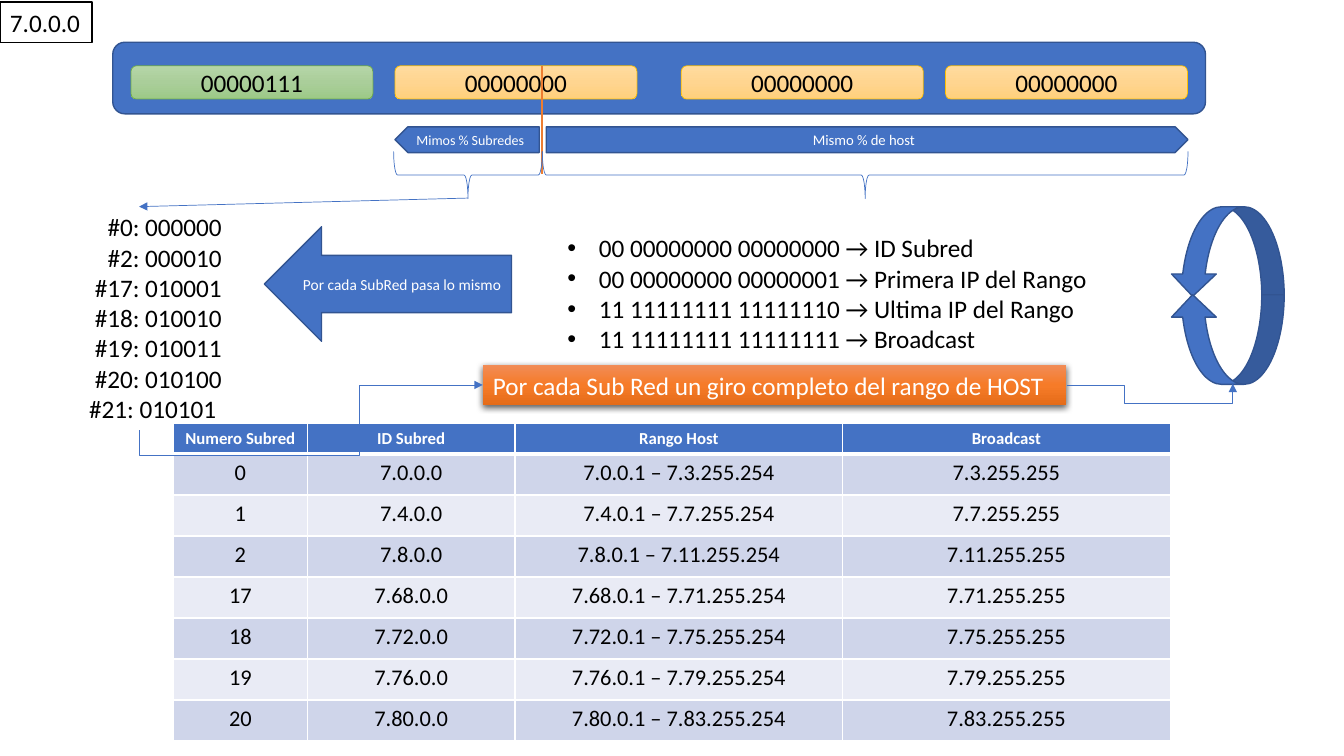
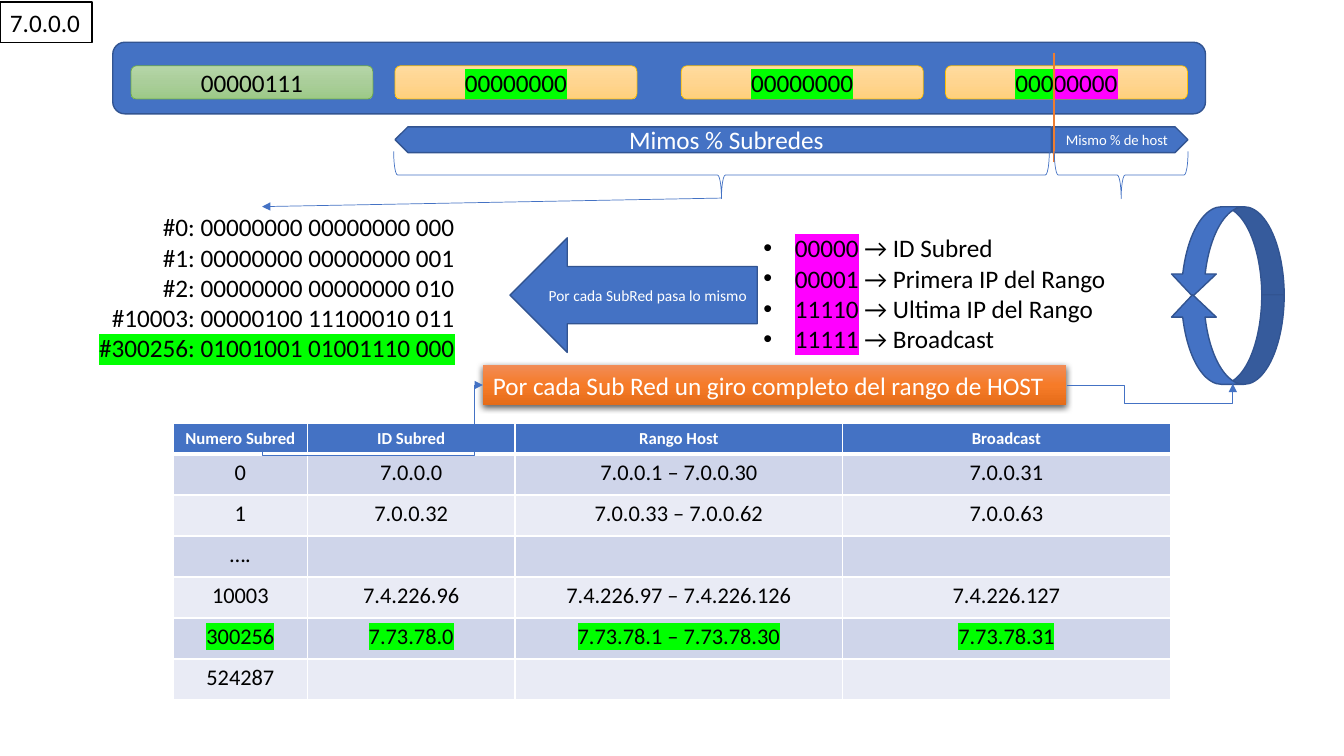
from dataclasses import dataclass
from typing import NamedTuple

from lxml.etree import SubElement
from pptx import Presentation
from pptx.dml.color import RGBColor
from pptx.enum.shapes import MSO_CONNECTOR as LINK
from pptx.enum.shapes import MSO_SHAPE as SHAPE
from pptx.enum.text import MSO_ANCHOR as ANCHOR
from pptx.enum.text import PP_ALIGN as ALIGN
from pptx.oxml.ns import qn
from pptx.oxml.xmlchemy import OxmlElement
from pptx.util import Pt

# Shared look
FONT = "Calibri"
BLUE, EDGE, CUT = "4472C4", "325491", "ED7D31"
WHITE, BLACK = "FFFFFF", "000000"
LIME, PINK = "00FF00", "FF00FF"
BANDS = ("CFD5EA", "E9EBF5")
GREENS = ("B5D5A7", "AACE9A", "9CC987")
GOLDS = ("FFDB9E", "FFD590", "FFD07C")
FLAMES = ("F18C57", "F67B28", "E56C19")

# Shared grid
OCTETS = (93.6, 282.2, 486.7, 675.4)
LEFT, RIGHT = 282.2, 848.6
COLS = (95.8, 148.3, 234, 234)
HEADS = ("Numero Subred", "ID Subred", "Rango Host", "Broadcast")


class Piece(NamedTuple):
    text: str
    mark: str = ""


class Box(NamedTuple):
    x: float
    y: float
    w: float
    h: float


class Point(NamedTuple):
    x: float
    y: float


@dataclass
class Page:
    octets: list
    cut: tuple  # x, top, bottom
    plates: tuple  # end of subnets, start of hosts
    fork: float  # right end of the subnet brace
    size: float  # subnet label
    list_box: Box
    nets: list
    host_box: Box
    hosts: list
    arrow: Point
    turn: float  # where the elbow rises, as a share of its width
    rows: list


def rgb(code: str) -> RGBColor:
    return RGBColor.from_string(code)


def lit(text: str, mark: str = LIME) -> list:
    return [Piece(text, mark)]


def write(frame, paras: list, *, size: float = 18, color: str = BLACK,
          align=ALIGN.CENTER, anchor=ANCHOR.MIDDLE, bold: bool = False,
          wrap: bool = True, bullet: bool = False) -> None:
    frame.word_wrap = wrap
    frame.vertical_anchor = anchor
    for i, item in enumerate(paras):
        para = frame.add_paragraph() if i else frame.paragraphs[0]
        para.alignment = align
        if bullet:
            props = para._p.get_or_add_pPr()
            props.set("marL", str(Pt(22.5)))
            props.set("indent", str(-Pt(22.5)))
            SubElement(props, qn("a:buFont")).set("typeface", "Arial")
            SubElement(props, qn("a:buChar")).set("char", "•")
        for piece in [Piece(item)] if isinstance(item, str) else item:
            if not piece.text:
                continue
            run = para.add_run()
            run.text = piece.text
            run.font.size, run.font.bold = Pt(size), bold
            run.font.color.rgb = rgb(color)
            run.font.name = FONT
            if piece.mark:
                glow = OxmlElement("a:highlight")
                SubElement(glow, qn("a:srgbClr")).set("val", piece.mark)
                run._r.rPr.find(qn("a:solidFill")).addnext(glow)


def shade(shape, tones: tuple) -> None:
    """Fill from top to bottom with evenly spaced tones."""
    grad = OxmlElement("a:gradFill")
    stops = SubElement(grad, qn("a:gsLst"))
    for i, tone in enumerate(tones):
        stop = SubElement(stops, qn("a:gs"))
        stop.set("pos", str(100000 * i // (len(tones) - 1)))
        SubElement(stop, qn("a:srgbClr")).set("val", tone)
    SubElement(grad, qn("a:lin")).set("ang", "5400000")
    shape._element.spPr.find(qn("a:prstGeom")).addnext(grad)


def draw(shapes, kind, box: Box, *, fill=BLUE, edge: str = EDGE,
         width: float = 1, turn: float = 0, flip: bool = False):
    shape = shapes.add_shape(kind, *map(Pt, box))
    shape.shadow.inherit = False
    shape.rotation = turn
    if flip:
        shape._element.spPr.xfrm.set("flipH", "1")
    if isinstance(fill, tuple):
        shade(shape, fill)
    elif fill:
        shape.fill.solid()
        shape.fill.fore_color.rgb = rgb(fill)
    else:
        shape.fill.background()
    if edge:
        shape.line.color.rgb = rgb(edge)
        shape.line.width = Pt(width)
    else:
        shape.line.fill.background()
    return shape


def label(slide, box: Box, paras: list, **style):
    shape = slide.shapes.add_textbox(*map(Pt, box))
    write(shape.text_frame, paras, anchor=ANCHOR.TOP, **style)
    return shape


def link(slide, start: Point, end: Point, *, kind=LINK.STRAIGHT,
         color: str = BLUE, width: float = 0.5, head: bool = True):
    line = slide.shapes.add_connector(kind, *map(Pt, (*start, *end)))
    line.line.color.rgb = rgb(color)
    line.line.width = Pt(width)
    if head:
        SubElement(line.line._get_or_add_ln(), qn("a:tailEnd")).set("type", "triangle")
    SubElement(line._element.spPr, qn("a:effectLst"))
    return line


def bend(slide, start: Point, end: Point, source, target, sites: tuple,
         bends: tuple, *, turned: bool = False) -> None:
    """Join two shapes with an elbow of four legs that rises to its end."""
    line = link(slide, start, end, kind=LINK.ELBOW)
    line.begin_connect(source, sites[0])
    line.end_connect(target, sites[1])
    wide, high = end.x - start.x, start.y - end.y
    mid = Point((start.x + end.x) / 2, (start.y + end.y) / 2)
    if turned:
        wide, high = high, wide
    line.left, line.top = Pt(mid.x - wide / 2), Pt(mid.y - high / 2)
    line.width, line.height = Pt(wide), Pt(high)
    props = line._element.spPr
    frame = props.find(qn("a:xfrm"))
    frame.set("rot", "5400000" if turned else "0")
    frame.set("flipH", "1" if turned else "0")
    frame.set("flipV", "1")
    geom = props.find(qn("a:prstGeom"))
    geom.set("prst", "bentConnector4")
    for old in list(geom):
        geom.remove(old)
    guides = SubElement(geom, qn("a:avLst"))
    for i, share in enumerate(bends, 1):
        guide = SubElement(guides, qn("a:gd"))
        guide.set("name", f"adj{i}")
        guide.set("fmla", f"val {round(share * 100000)}")


def brace(slide, start: float, end: float) -> None:
    span, deep = end - start, 33.8
    box = Box((start + end - deep) / 2, 125 - span / 2, deep, span)
    draw(slide.shapes, SHAPE.LEFT_BRACE, box, fill=None, edge=BLUE, width=0.5, turn=270)


def rule(cell, low: float) -> None:
    """White cell borders with a chosen bottom width."""
    props = cell._tc.get_or_add_tcPr()
    for i, (side, width) in enumerate(zip("LRTB", (1, 1, 1, low))):
        edge = OxmlElement(f"a:ln{side}")
        edge.set("w", str(Pt(width)))
        fill = SubElement(edge, qn("a:solidFill"))
        SubElement(fill, qn("a:srgbClr")).set("val", WHITE)
        props.insert(i, edge)


def grid(slide, rows: list) -> None:
    tall, head = 29.3, 21.8
    box = Box(123.8, 302.4, sum(COLS), head + tall * len(rows))
    table = slide.shapes.add_table(len(rows) + 1, len(COLS), *map(Pt, box)).table
    for col, wide in zip(table.columns, COLS):
        col.width = Pt(wide)
    for r, row in enumerate([HEADS, *rows]):
        table.rows[r].height = Pt(tall if r else head)
        for c, item in enumerate(row):
            cell = table.cell(r, c)
            cell.fill.solid()
            cell.fill.fore_color.rgb = rgb(BANDS[(r - 1) % 2] if r else BLUE)
            rule(cell, 1 if r else 3)
            style = {"size": 16} if r else {"size": 12, "color": WHITE, "bold": True}
            write(cell.text_frame, [item], anchor=ANCHOR.TOP, **style)


def build(slide, page: Page) -> None:
    shapes = slide.shapes
    grid(slide, page.rows)

    # Address in four octets
    draw(shapes, SHAPE.ROUNDED_RECTANGLE, Box(80.6, 30.2, 780.5, 51.1))
    for i, (x, bits) in enumerate(zip(OCTETS, page.octets)):
        octet = draw(shapes, SHAPE.ROUNDED_RECTANGLE, Box(x, 47, 172.8, 23.8),
                     fill=GOLDS if i else GREENS,
                     edge="FFC000" if i else "70AD47", width=0.5)
        write(octet.text_frame, [bits])

    # Subnet and host spans
    stop, start = page.plates
    for text, x, end, size, flip in (
            ("Mismo % de host", start, RIGHT, 10.5, False),
            ("Mimos % Subredes", LEFT, stop, page.size, True)):
        plate = draw(shapes, SHAPE.PENTAGON, Box(x, 90.6, end - x, 18.4), flip=flip)
        write(plate.text_frame, [text], size=size, color=WHITE)
    x, top, low = page.cut
    link(slide, Point(x, top), Point(x, low), color=CUT, width=1.5, head=False)
    brace(slide, x, RIGHT)
    brace(slide, LEFT - 1, page.fork)

    # Host and subnet lists
    label(slide, page.host_box, page.hosts, align=ALIGN.LEFT, bullet=True)
    arrow = draw(shapes, SHAPE.LEFT_ARROW, Box(*page.arrow, 176.6, 81.8))
    write(arrow.text_frame, ["Por cada SubRed pasa lo mismo"], size=11, color=WHITE)
    nets = label(slide, page.list_box, page.nets, align=ALIGN.RIGHT)
    box = page.list_box
    mid = box.x + box.w / 2
    tip = Point((LEFT - 1 + page.fork) / 2, 141.5)
    link(slide, tip, Point(mid, box.y)).end_connect(nets, 0)

    # Full turn
    loop = shapes.add_group_shape().shapes
    for y, flip in ((139, False), (201.8, True)):
        curl = draw(loop, SHAPE.CURVED_RIGHT_ARROW, Box(844.6, y, 64, 81.4),
                    turn=90, flip=flip)
    banner = draw(shapes, SHAPE.RECTANGLE, Box(344.9, 260.5, 416.9, 29),
                  fill=FLAMES, edge="")
    glow = SubElement(banner._element.spPr.find(qn("a:effectLst")), qn("a:outerShdw"))
    for key, value in (("blurRad", Pt(4.5)), ("dist", Pt(1.5)), ("dir", 5400000)):
        glow.set(key, str(value))
    tone = SubElement(glow, qn("a:srgbClr"))
    tone.set("val", BLACK)
    SubElement(tone, qn("a:alpha")).set("val", "63000")
    write(banner.text_frame, ["Por cada Sub Red un giro completo del rango de HOST"],
          color=WHITE, align=ALIGN.LEFT, wrap=False)
    bend(slide, Point(mid, box.y + box.h), Point(344.9, 275), nets, banner,
         (2, 1), (-0.56, page.turn), turned=True)
    bend(slide, Point(761.8, 275), Point(880.6, 274.2), banner, curl,
         (3, 0), (0.35, -17))

    # Network address
    tag = draw(shapes, SHAPE.RECTANGLE, Box(0, 1.4, 65.7, 29), fill=WHITE, edge=BLACK)
    write(tag.text_frame, ["7.0.0.0"], align=ALIGN.LEFT, wrap=False)


ZEROS = "00000000"
ROLES = ("ID Subred", "Primera IP del Rango", "Ultima IP del Rango", "Broadcast")
LONG = ("00 00000000 00000000", "00 00000000 00000001",
        "11 11111111 11111110", "11 11111111 11111111")
SHORT = ("00000", "00001", "11110", "11111")

PAGES = [
    Page(
        octets=["00000111", ZEROS, ZEROS, ZEROS],
        cut=(387.4, 47, 124.6), plates=(385.2, 390.2), fork=387.4, size=10,
        list_box=Box(33.1, 147.6, 132.5, 159.8),
        nets=["#0: 000000", "#2: 000010", "#17: 010001", "#18: 010010",
              "#19: 010011", "#20: 010100", "#21: 010101 "],
        host_box=Box(398.2, 162.7, 402.5, 94.3),
        hosts=[f"{bits} → {role}" for bits, role in zip(LONG, ROLES)],
        arrow=Point(188.8, 162), turn=0.64,
        rows=[(str(n), f"7.{4 * n}.0.0", f"7.{4 * n}.0.1 – 7.{4 * n + 3}.255.254",
               f"7.{4 * n + 3}.255.255") for n in (0, 1, 2, 17, 18, 19, 20)],
    ),
    Page(
        octets=["00000111", lit(ZEROS), lit(ZEROS), lit("000") + lit("00000", PINK)],
        cut=(753.1, 38.2, 115.9), plates=(750.9, 751.7), fork=749.5, size=18,
        list_box=Box(42.5, 147.6, 289.4, 159.8),
        nets=["#0: 00000000 00000000 000", "#1: 00000000 00000000 001",
              "#2: 00000000 00000000 010", "#10003: 00000100 11100010 011",
              lit("#300256: 01001001 01001110 000")],
        host_box=Box(538.2, 162.7, 263.5, 94.3),
        hosts=[lit(bits, PINK) + [Piece(f" → {role}")] for bits, role in zip(SHORT, ROLES)],
        arrow=Point(364.3, 169.9), turn=0.96,
        rows=[("0", "7.0.0.0", "7.0.0.1 – 7.0.0.30", "7.0.0.31"),
              ("1", "7.0.0.32", "7.0.0.33 – 7.0.0.62", "7.0.0.63"),
              ("….", "", "", ""),
              ("10003", "7.4.226.96", "7.4.226.97 – 7.4.226.126", "7.4.226.127"),
              tuple(map(lit, ("300256", "7.73.78.0", "7.73.78.1 – 7.73.78.30",
                              "7.73.78.31"))),
              ("524287", "", "", "")],
    ),
]


def main() -> None:
    deck = Presentation()
    deck.slide_width, deck.slide_height = Pt(960), Pt(540)
    for page in PAGES:
        build(deck.slides.add_slide(deck.slide_layouts[6]), page)
    deck.save("out.pptx")


if __name__ == "__main__":
    main()
